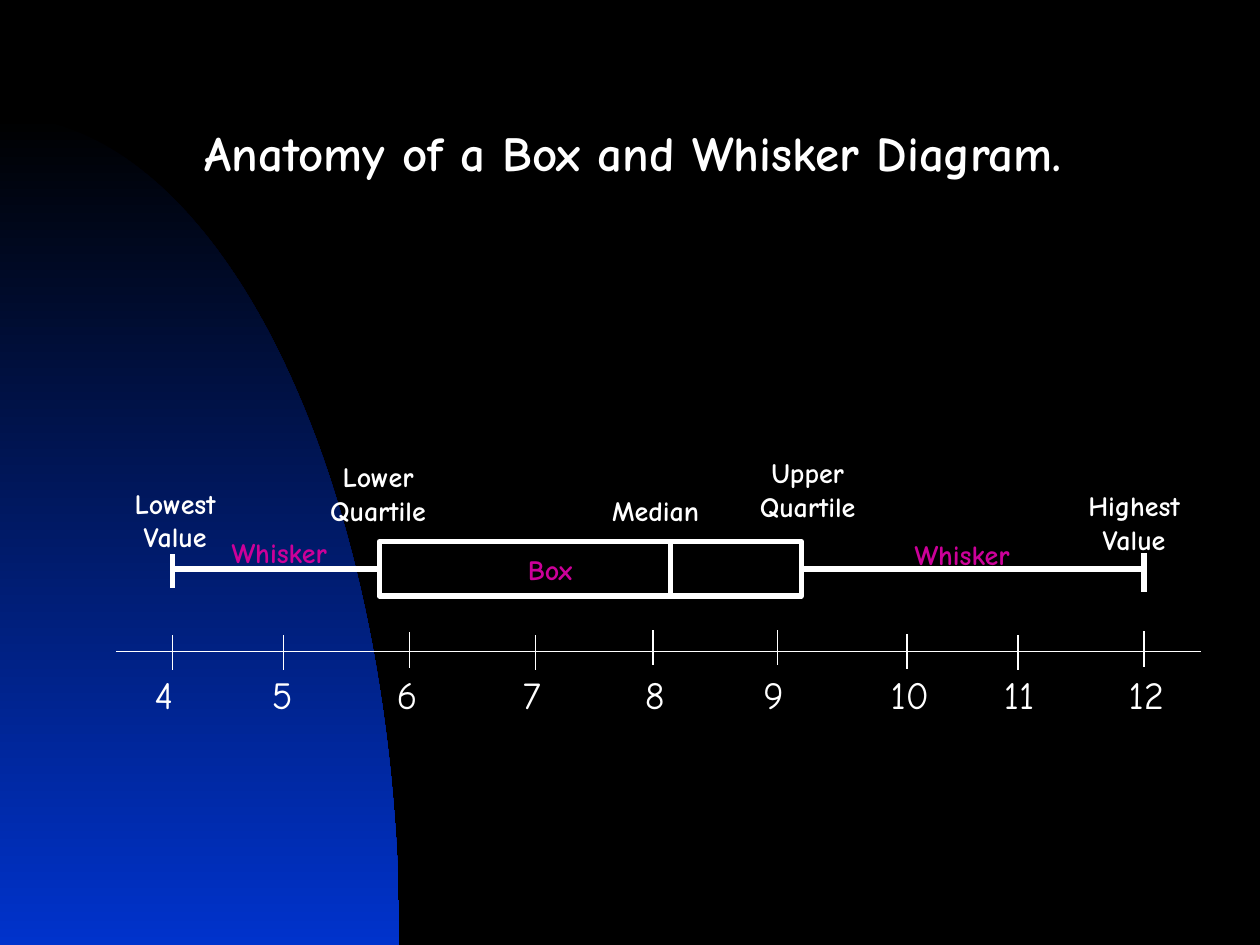
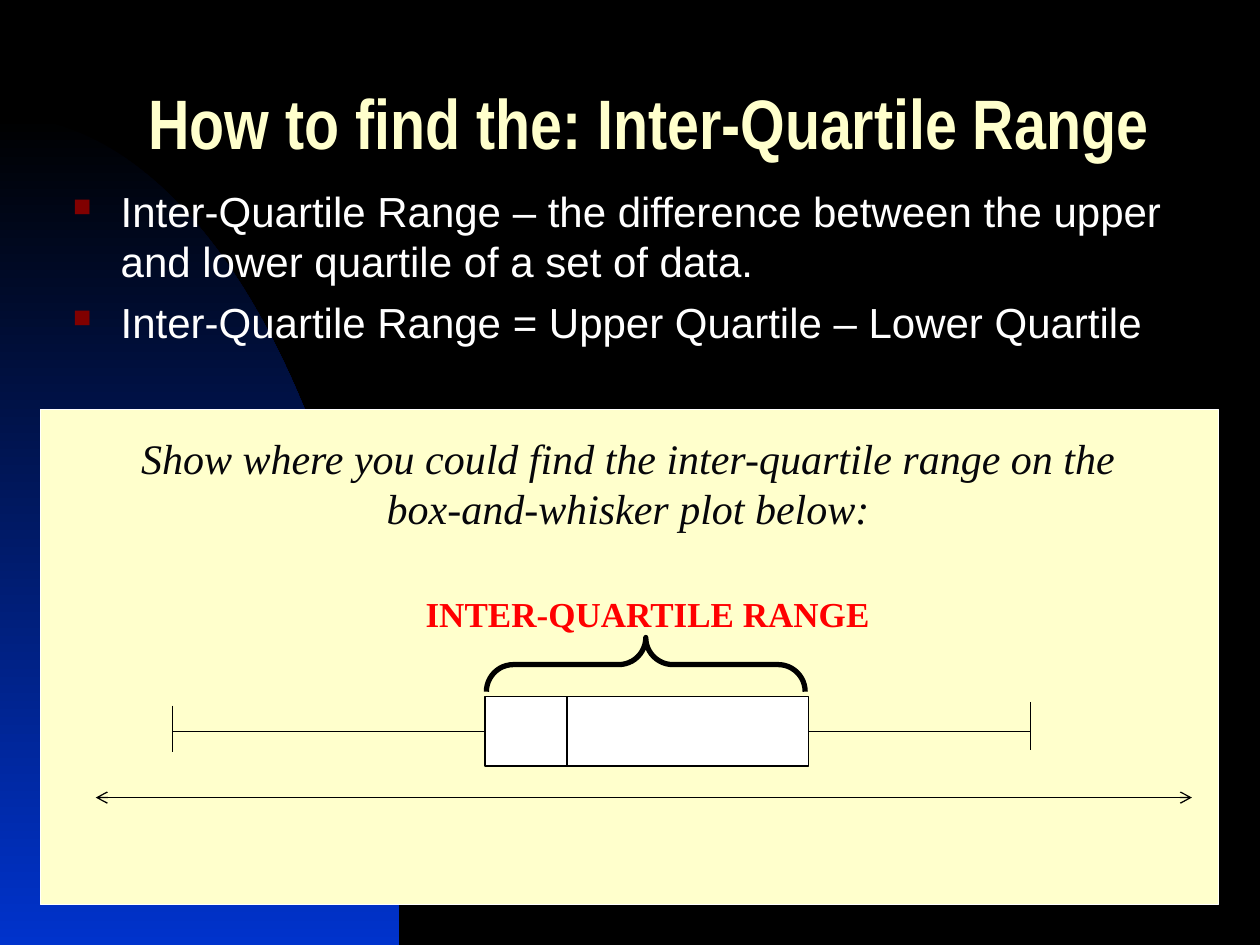
"""Build two slides about box and whisker diagrams and the inter-quartile range."""
from math import cos, pi, sin

from lxml import etree
from pptx import Presentation
from pptx.dml.color import RGBColor
from pptx.enum.shapes import MSO_CONNECTOR, MSO_SHAPE
from pptx.enum.text import MSO_ANCHOR, PP_ALIGN
from pptx.oxml.ns import qn
from pptx.util import Inches, Pt

STRAIGHT = MSO_CONNECTOR.STRAIGHT
RECTANGLE, LEFT_BRACE = MSO_SHAPE.RECTANGLE, MSO_SHAPE.LEFT_BRACE
LEFT, CENTER = PP_ALIGN.LEFT, PP_ALIGN.CENTER
TOP, MIDDLE = MSO_ANCHOR.TOP, MSO_ANCHOR.MIDDLE
LEFT_SIDE, RIGHT_SIDE = 1, 3

WIDTH, HEIGHT = 10, 7.5
BLACK, WHITE, BLUE, CREAM = "000000", "FFFFFF", "0033CC", "FFFFCC"
MAGENTA, RED, MAROON, INK = "CC0099", "FF0000", "800000", "06060A"
COMIC, NARROW, SANS, SERIF = "Comic Neue", "Arial Narrow", "Arial", "Times New Roman"

ARCH_WIDTH, ARCH_TOP, ARCH_STEPS = 3.17, 0.92, 60

ANATOMY_TITLE = "Anatomy of a Box and Whisker Diagram."
LABEL_WIDTH = 1.12
ANATOMY_LABELS = [
    ("Median", 4.76, 3.87, 0.37, LEFT, WHITE),
    ("Lower Quartile", 2.44, 3.6, 0.64, CENTER, WHITE),
    ("Upper Quartile", 5.85, 3.57, 0.64, CENTER, WHITE),
    ("Lowest Value", 0.83, 3.81, 0.64, CENTER, WHITE),
    ("Highest Value", 8.44, 3.83, 0.64, CENTER, WHITE),
    ("Box", 4.09, 4.34, 0.37, LEFT, MAGENTA),
    ("Whisker", 7.16, 4.22, 0.37, LEFT, MAGENTA),
    ("Whisker", 1.74, 4.2, 0.37, LEFT, MAGENTA),
]
ANATOMY_PLOT = dict(box=(3.01, 4.3, 3.35, 0.43), low=1.37, median=5.32, high=9.08,
                    low_cap=(4.4, 4.67), high_cap=(4.39, 4.7))
AXIS_Y, AXIS_START, AXIS_END, TICK_LENGTH = 5.17, 0.92, 9.53, 0.28
AXIS_NUMBERS = [
    ("4", 1.37, 5.04, 1.13), ("5", 2.25, 5.04, 2.06), ("6", 3.25, 5.02, 3.05),
    ("7", 4.25, 5.04, 4.05), ("8", 5.18, 5, 5.02), ("9", 6.17, 5, 5.96),
    ("10", 7.2, 5.03, 6.97), ("11", 8.08, 5.04, 7.87), ("12", 9.08, 5.01, 8.86),
]

RANGE_TITLE = "How to find the: Inter-Quartile Range"
RANGE_POINTS = [
    "Inter-Quartile Range – the difference between the upper and lower quartile of a set of data.",
    "Inter-Quartile Range = Upper Quartile – Lower Quartile",
]
QUESTION = ["Show where you could find the inter-quartile range on the",
            "box-and-whisker plot below:"]
ANSWER = "INTER-QUARTILE RANGE"
RANGE_PLOT = dict(box=(3.85, 5.53, 2.57, 0.55), low=1.37, median=4.5, high=8.18,
                  low_cap=(5.6, 5.97), high_cap=(5.57, 5.95))


def color(hex_string):
    return RGBColor.from_string(hex_string)


def inches(*lengths):
    return [Inches(length) for length in lengths]


def add_bullet(paragraph):
    properties = paragraph._p.get_or_add_pPr()
    properties.set("marL", str(Inches(0.38)))
    properties.set("indent", str(-Inches(0.38)))
    bullet_color = etree.SubElement(properties, qn("a:buClr"))
    etree.SubElement(bullet_color, qn("a:srgbClr"), val=MAROON)
    etree.SubElement(properties, qn("a:buSzPct"), val="60000")
    etree.SubElement(properties, qn("a:buChar"), char="■")


def add_text(slide, lines, box, name, size, text_color, align=LEFT, anchor=TOP, bold=False,
             italic=False, wrap=True, bullets=False, gap=0, line_spacing=None):
    frame = slide.shapes.add_textbox(*inches(*box)).text_frame
    frame.word_wrap = wrap
    frame.vertical_anchor = anchor
    frame.text = "\n".join(lines)
    for index, paragraph in enumerate(frame.paragraphs):
        paragraph.alignment = align
        if line_spacing:
            paragraph.line_spacing = line_spacing
        if index:
            paragraph.space_before = Pt(gap)
        if bullets:
            add_bullet(paragraph)
        font = paragraph.font
        font.name, font.size = name, Pt(size)
        font.bold, font.italic = bold, italic
        font.color.rgb = color(text_color)


def add_line(slide, start, end, line_color, width, arrows=False):
    connector = slide.shapes.add_connector(STRAIGHT, *inches(*start, *end))
    connector.line.color.rgb = color(line_color)
    connector.line.width = Pt(width)
    properties = connector._element.spPr
    if arrows:
        for tag in ("a:headEnd", "a:tailEnd"):
            etree.SubElement(properties.find(qn("a:ln")), qn(tag), type="arrow")
    etree.SubElement(properties, qn("a:effectLst"))
    return connector


def add_shape(slide, kind, box, line_color, width, fill=None):
    shape = slide.shapes.add_shape(kind, *inches(*box))
    shape.shadow.inherit = False
    if fill:
        shape.fill.solid()
        shape.fill.fore_color.rgb = color(fill)
    else:
        shape.fill.background()
    shape.line.color.rgb = color(line_color)
    shape.line.width = Pt(width)
    return shape


def add_slide(presentation):
    slide = presentation.slides.add_slide(presentation.slide_layouts[6])
    slide.background.fill.solid()
    slide.background.fill.fore_color.rgb = color(BLACK)
    angles = [pi / 2 * step / ARCH_STEPS for step in range(ARCH_STEPS + 1)]
    curve = [inches(ARCH_WIDTH * sin(angle), HEIGHT - (HEIGHT - ARCH_TOP) * cos(angle))
             for angle in angles]
    builder = slide.shapes.build_freeform(*inches(0, HEIGHT))
    builder.add_line_segments(curve, close=True)
    arch = builder.convert_to_shape()
    arch.shadow.inherit = False
    arch.line.fill.background()
    arch.fill.gradient()
    arch.fill.gradient_angle = 270
    for stop, position, stop_color in zip(arch.fill.gradient_stops, (0, 1), (BLACK, BLUE)):
        stop.position = position
        stop.color.rgb = color(stop_color)
    return slide


def add_box_plot(slide, plot, line_color, width, fill=None):
    left, top, box_width, box_height = plot["box"]
    middle, bottom = top + box_height / 2, top + box_height
    box = add_shape(slide, RECTANGLE, plot["box"], line_color, width, fill)
    add_line(slide, (plot["median"], top), (plot["median"], bottom), line_color, width)
    for end, cap, edge, side in (("low", "low_cap", left, LEFT_SIDE),
                                 ("high", "high_cap", left + box_width, RIGHT_SIDE)):
        x = plot[end]
        cap_top, cap_bottom = plot[cap]
        whisker = add_line(slide, (edge, middle), (x, middle), line_color, width)
        whisker.begin_connect(box, side)
        add_line(slide, (x, cap_top), (x, cap_bottom), line_color, width)


def build_anatomy(presentation):
    slide = add_slide(presentation)
    add_box_plot(slide, ANATOMY_PLOT, WHITE, 3)
    for text, left, top, height, align, text_color in ANATOMY_LABELS:
        add_text(slide, [text], (left, top, LABEL_WIDTH, height), COMIC, 16, text_color,
                 align, bold=True)
    add_text(slide, [ANATOMY_TITLE], (1.07, 0.92, 7.91, 0.57), COMIC, 28, WHITE, CENTER, bold=True)
    add_line(slide, (AXIS_START, AXIS_Y), (AXIS_END, AXIS_Y), WHITE, 1)
    for number, x, tick_top, label_left in AXIS_NUMBERS:
        add_line(slide, (x, tick_top), (x, tick_top + TICK_LENGTH), WHITE, 1)
        add_text(slide, [number], (label_left, 5.28, 0.66, 0.47), COMIC, 22, WHITE)


def build_range(presentation):
    slide = add_slide(presentation)
    add_text(slide, [RANGE_TITLE], (1.08, 0.42, 8.27, 1.25), NARROW, 40, CREAM,
             anchor=MIDDLE, bold=True, line_spacing=0.7)
    add_text(slide, RANGE_POINTS, (0.48, 1.42, 9.25, 1.66), SANS, 24, WHITE, bullets=True, gap=6)
    add_shape(slide, RECTANGLE, (0.32, 3.25, 9.35, 3.93), WHITE, 0.75, CREAM)
    add_line(slide, (0.76, 6.33), (9.46, 6.33), BLACK, 0.75, arrows=True)
    add_box_plot(slide, RANGE_PLOT, BLACK, 0.75, WHITE)
    add_text(slide, QUESTION, (0.97, 3.38, 8.03, 0.9), SERIF, 24, INK, CENTER, MIDDLE,
             italic=True, wrap=False)
    brace = add_shape(slide, LEFT_BRACE, (4.91, 4.01, 0.43, 2.53), BLACK, 3)
    brace.adjustments[0] = 0.5
    brace.rotation = 90
    add_text(slide, [ANSWER], (3.28, 4.65, 4.64, 0.44), SERIF, 20, RED, bold=True)


def main():
    presentation = Presentation()
    presentation.slide_width, presentation.slide_height = inches(WIDTH, HEIGHT)
    build_anatomy(presentation)
    build_range(presentation)
    presentation.save("out.pptx")


if __name__ == "__main__":
    main()
